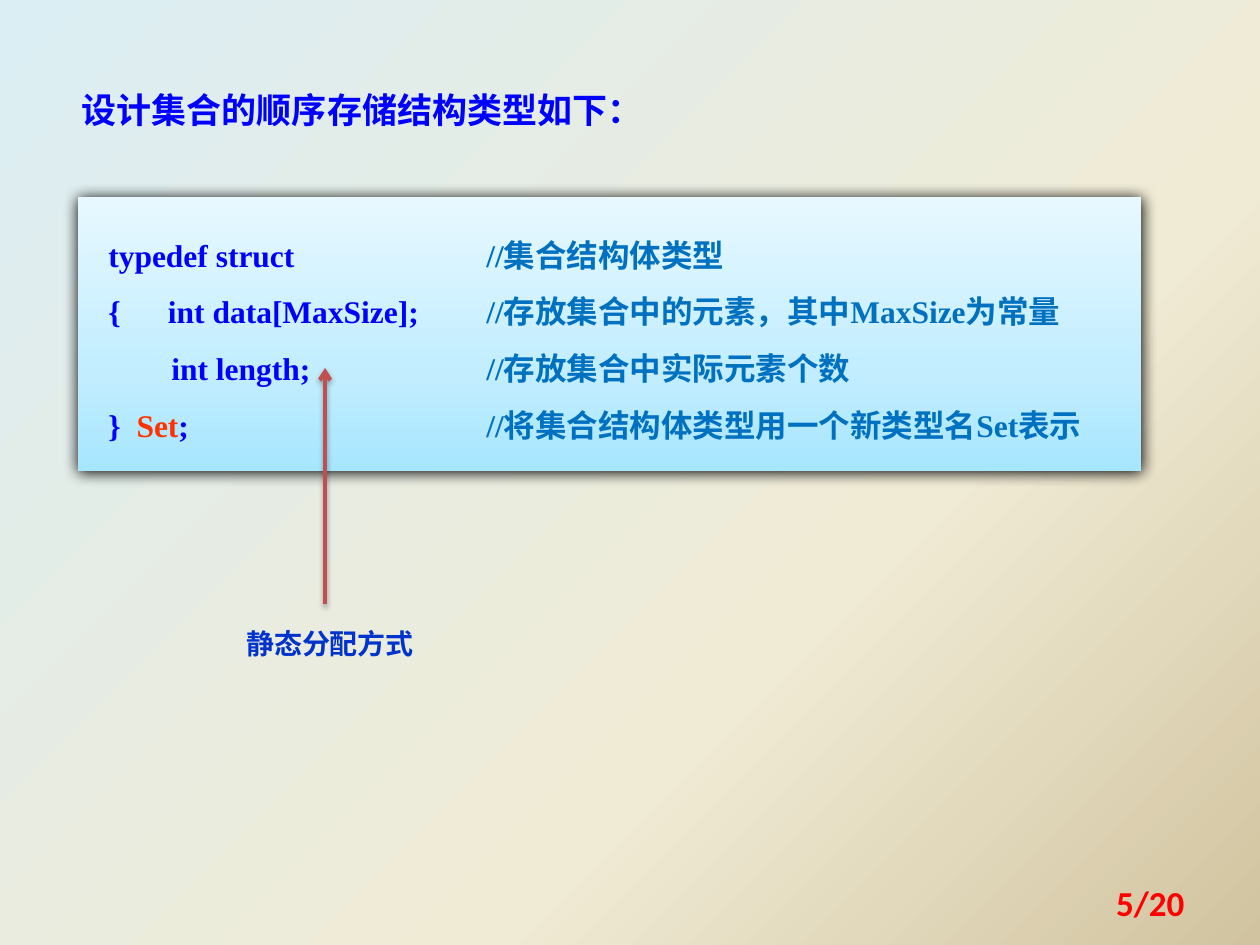
"""Build the slide on the sequential storage type of a set."""
import dataclasses
import typing

import lxml.etree
import pptx
import pptx.dml.color
import pptx.enum.shapes
import pptx.enum.text
import pptx.oxml.ns
import pptx.util

qn = pptx.oxml.ns.qn
PP_ALIGN = pptx.enum.text.PP_ALIGN
Stops = tuple[tuple[int, str], ...]


@dataclasses.dataclass(frozen=True)
class Theme:
    cjk: str = "Noto Sans CJK SC"
    serif: str = "Times New Roman"
    sans: str = "Calibri"
    code: str = "0000FF"
    comment: str = "0070C0"
    name: str = "FF3300"
    label: str = "0033CC"
    page: str = "FF0000"
    arrow: str = "C0504D"
    large: int = 20
    body: int = 18
    small: int = 16
    backdrop: Stops = ((0, "DBEEF4"), (65, "F0EBD5"), (100, "D1C39F"))
    panel: Stops = ((0, "A7E6FF"), (35, "C1EDFF"), (100, "E7F8FF"))


@dataclasses.dataclass(frozen=True)
class Box:
    col: float
    row: float
    cols: float
    rows: float

    def emu(self) -> list[int]:
        return [cells(v) for v in (self.col, self.row, self.cols, self.rows)]


class Span(typing.NamedTuple):
    text: str
    color: str


class CodeLine(typing.NamedTuple):
    code: tuple[Span, ...]
    comment: str


class Caption(typing.NamedTuple):
    box: Box
    text: Span
    font: str
    size: int
    align: PP_ALIGN
    spacing: float


THEME = Theme()
WIDTH, HEIGHT = pptx.util.Inches(10), pptx.util.Inches(7.5)
COLUMNS = 100
PANEL = Box(6.2, 15.6, 84.4, 21.8)
COMMENT_TAB = 30
CODE = (
    CodeLine((Span("typedef struct", THEME.code),), "//集合结构体类型"),
    CodeLine((Span("{      int data[MaxSize];", THEME.code),),
             "//存放集合中的元素，其中MaxSize为常量"),
    CodeLine((Span("        int length;", THEME.code),), "//存放集合中实际元素个数"),
    CodeLine((Span("}  ", THEME.code), Span("Set", THEME.name), Span(";", THEME.code)),
             "//将集合结构体类型用一个新类型名Set表示"),
)
CAPTIONS = (
    Caption(Box(5.5, 6.2, 47.7, 4.7), Span("设计集合的顺序存储结构类型如下：", THEME.code),
            THEME.cjk, THEME.large, PP_ALIGN.LEFT, 1.1),
    Caption(Box(18, 49, 16.4, 4), Span("静态分配方式", THEME.label),
            THEME.cjk, THEME.small, PP_ALIGN.CENTER, 1.1),
    Caption(Box(71.7, 69.5, 23.3, 4), Span("5/20", THEME.page),
            THEME.sans, THEME.large, PP_ALIGN.RIGHT, 1.0),
)


def cells(count: float) -> int:
    """Turn a count of square grid cells into a length."""
    return round(WIDTH * count / COLUMNS)


def sub(parent, tag: str, **attrs):
    """Append a child element with the given attributes."""
    return lxml.etree.SubElement(parent, qn(tag), {k: str(v) for k, v in attrs.items()})


def set_gradient(fill, owner, stops: Stops, angle: int) -> None:
    """Give a fill a linear gradient with any number of stops."""
    fill.gradient()
    grad = next(owner.iter(qn("a:gradFill")))
    for child in list(grad):
        grad.remove(child)
    stop_list = sub(grad, "a:gsLst")
    for position, color in stops:
        stop = sub(stop_list, "a:gs", pos=position * 1000)
        sub(stop, "a:srgbClr", val=color)
    sub(grad, "a:lin", ang=angle * 60000, scaled=0)


def add_shadow(props, alpha: int, blur: float, distance: float) -> None:
    """Cast a black shadow downwards."""
    effects = sub(props, "a:effectLst")
    shadow = sub(effects, "a:outerShdw", blurRad=pptx.util.Pt(blur),
                 dist=pptx.util.Pt(distance), dir=90 * 60000, algn="ctr", rotWithShape=0)
    color = sub(shadow, "a:srgbClr", val="000000")
    sub(color, "a:alpha", val=alpha * 1000)


def add_run(p, span: Span, font: str, size: int) -> None:
    """Add one bold run to a paragraph."""
    r = p.add_run()
    r.text = span.text
    r.font.name, r.font.size, r.font.bold = font, pptx.util.Pt(size), True
    r.font.color.rgb = pptx.dml.color.RGBColor.from_string(span.color)
    sub(r.font._element, "a:ea", typeface=THEME.cjk)


def add_caption(slide, caption: Caption) -> None:
    """Draw a single line of free text."""
    tf = slide.shapes.add_textbox(*caption.box.emu()).text_frame
    tf.word_wrap = True
    p = tf.paragraphs[0]
    p.alignment, p.line_spacing = caption.align, caption.spacing
    add_run(p, caption.text, caption.font, caption.size)


def add_code(slide, box: Box, lines: tuple[CodeLine, ...]) -> None:
    """Draw the code panel with comments aligned at a tab stop."""
    sp = slide.shapes.add_shape(pptx.enum.shapes.MSO_SHAPE.RECTANGLE, *box.emu())
    set_gradient(sp.fill, sp._element, THEME.panel, 270)
    sp.line.fill.background()
    add_shadow(sp._element.spPr, 100, 8.5, 1)
    tf = sp.text_frame
    tf.word_wrap = True
    tf.vertical_anchor = pptx.enum.text.MSO_ANCHOR.TOP
    tf.margin_left, tf.margin_top = cells(2.4), cells(1.6)
    tf.margin_right, tf.margin_bottom = cells(1), cells(2)
    for i, line in enumerate(lines):
        p = tf.add_paragraph() if i else tf.paragraphs[0]
        p.alignment, p.line_spacing = PP_ALIGN.LEFT, 1.5
        tabs = sub(p._p.get_or_add_pPr(), "a:tabLst")
        sub(tabs, "a:tab", pos=cells(COMMENT_TAB), algn="l")
        for span in (*line.code, Span("\t" + line.comment, THEME.comment)):
            add_run(p, span, THEME.serif, THEME.body)


def add_arrow(slide, col: float, start: float, end: float) -> None:
    """Draw a vertical arrow between two rows."""
    line = slide.shapes.add_connector(pptx.enum.shapes.MSO_CONNECTOR.STRAIGHT,
                                      cells(col), cells(start), cells(col), cells(end))
    line.line.width = pptx.util.Pt(2.25)
    line.line.color.rgb = pptx.dml.color.RGBColor.from_string(THEME.arrow)
    sub(line.line._get_or_add_ln(), "a:tailEnd", type="arrow")
    add_shadow(line._element.spPr, 35, 3.1, 1.8)


def main() -> None:
    """Build and save the slide."""
    prs = pptx.Presentation()
    prs.slide_width, prs.slide_height = WIDTH, HEIGHT
    slide = prs.slides.add_slide(prs.slide_layouts[6])
    set_gradient(slide.background.fill, slide._element, THEME.backdrop, 45)
    add_code(slide, PANEL, CODE)
    for caption in CAPTIONS:
        add_caption(slide, caption)
    add_arrow(slide, 25.8, 47.9, 29.2)
    prs.save("out.pptx")


if __name__ == "__main__":
    main()
